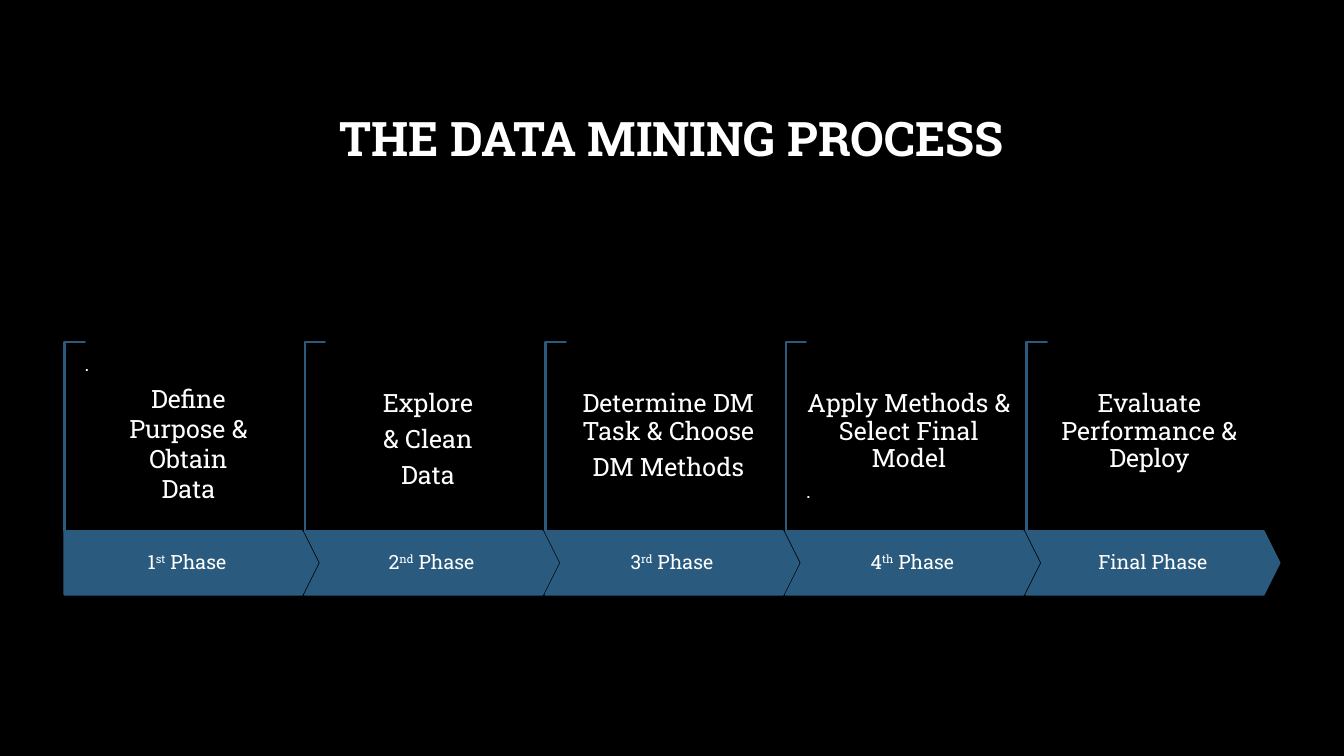
from dataclasses import dataclass
from pptx import Presentation
from pptx.dml.color import RGBColor
from pptx.enum.shapes import MSO_SHAPE
from pptx.enum.text import MSO_ANCHOR, PP_ALIGN
from pptx.util import Pt

TITLE = "THE DATA MINING PROCESS"
DOT = "."
# number, ordinal suffix, rest of label, step lines
PHASES = [
    ("1", "st", " Phase", ["Define", "Purpose &", "Obtain", "Data"]),
    ("2", "nd", " Phase", ["Explore", "& Clean", "Data"]),
    ("3", "rd", " Phase", ["Determine DM Task & Choose", "DM Methods"]),
    ("4", "th", " Phase", ["Apply Methods & Select Final Model", DOT]),
    ("", "", "Final Phase", ["Evaluate Performance & Deploy"]),
]


@dataclass(frozen=True)
class Theme:
    font: str = "Roboto Slab"
    back: RGBColor = RGBColor.from_string("000000")
    ink: RGBColor = RGBColor.from_string("FFFFFF")
    blue: RGBColor = RGBColor.from_string("2A5B7F")
    pale: RGBColor = RGBColor.from_string("ABDAFC")
    line: float = 1.5
    title: int = 34
    body: int = 18
    label: int = 14


THEME = Theme()
PX = 9144  # 100 px to the inch
WIDE, HIGH = 1333, 750
LEFT, LAST = 64, 1018
STEP = (LAST - LEFT) / (len(PHASES) - 1)
ARROW = (251, 63)
ARROW_TOP = 527
FRAME = (188, 20)
BODY_TOP = 352
BODY = (204, 118)
GAP = 6.3


def px(*nums):
    return [round(n * PX) for n in nums]


def add_text(shapes, box, lines, size=THEME.body, bold=False,
             anchor=MSO_ANCHOR.TOP, inset=(0, 0, 0, 0), space=0.9, after=GAP):
    """Each line is a string or a list of (text, raised) runs."""
    frame = shapes.add_textbox(*px(*box)).text_frame
    frame.word_wrap = True
    frame.vertical_anchor = anchor
    (frame.margin_left, frame.margin_top,
     frame.margin_right, frame.margin_bottom) = px(*inset)
    for i, line in enumerate(lines):
        dot = line == DOT
        para = frame.add_paragraph() if i else frame.paragraphs[0]
        para.alignment = PP_ALIGN.LEFT if dot else PP_ALIGN.CENTER
        para.line_spacing = space
        para.space_after = Pt(after)
        for text, raised in [(line, False)] if isinstance(line, str) else line:
            run = para.add_run()
            run.text = text
            font = run.font
            font.name, font.bold = THEME.font, bold
            font.size = Pt(THEME.label if dot else size)
            font.color.rgb = THEME.ink
            if raised:
                run._r.get_or_add_rPr().set("baseline", "30000")


def add_part(shapes, kind, box, fill, adjust):
    part = shapes.add_shape(kind, *px(*box))
    part.shadow.inherit = False
    part.fill.solid()
    part.fill.fore_color.rgb = fill
    part.line.color.rgb = THEME.blue
    part.line.width = Pt(THEME.line)
    for i, value in enumerate(adjust):
        part.adjustments[i] = value
    return part


def add_phase(shapes, i, phase):
    num, suffix, rest, lines = phase
    first = i == 0
    left = LEFT + i * STEP

    # The corner is turned upright, so its box is placed by its centre.
    long, thin = FRAME
    mid_x, mid_y = left + thin / 2, ARROW_TOP - long / 2
    frame = add_part(shapes, MSO_SHAPE.CORNER,
                     (mid_x - long / 2, mid_y - thin / 2, long, thin),
                     THEME.pale, (0.01, 0.01))
    frame.rotation = 90

    kind = MSO_SHAPE.PENTAGON if first else MSO_SHAPE.CHEVRON
    add_part(shapes, kind, (left, ARROW_TOP, *ARROW), THEME.blue, (0.25,))
    start, width = (left, 243) if first else (left + 15.5, 220)
    runs = [(num, False), (suffix, True), (rest, False)]
    add_text(shapes, (start, ARROW_TOP, width, ARROW[1]),
             [[run for run in runs if run[0]]], size=THEME.label,
             anchor=MSO_ANCHOR.MIDDLE, inset=(10, 19, 10, 19))

    add_text(shapes, (left + 20, BODY_TOP, *BODY), [DOT] if first else lines,
             inset=(0, 0 if first else 36, 0, 0))


def main():
    deck = Presentation()
    deck.slide_width, deck.slide_height = px(WIDE, HIGH)
    slide = deck.slides.add_slide(deck.slide_layouts[6])
    slide.background.fill.solid()
    slide.background.fill.fore_color.rgb = THEME.back
    add_text(slide.shapes, (100, 67, 1132, 145), [TITLE], size=THEME.title,
             bold=True, anchor=MSO_ANCHOR.MIDDLE, inset=(10, 5, 10, 5), after=0)
    group = slide.shapes.add_group_shape()
    for i, phase in enumerate(PHASES):
        add_phase(group.shapes, i, phase)
    add_text(slide.shapes, (84, 375, 206, 130), PHASES[0][3],
             inset=(10, 5, 10, 5), space=1.0, after=0)
    deck.save("out.pptx")


if __name__ == "__main__":
    main()
